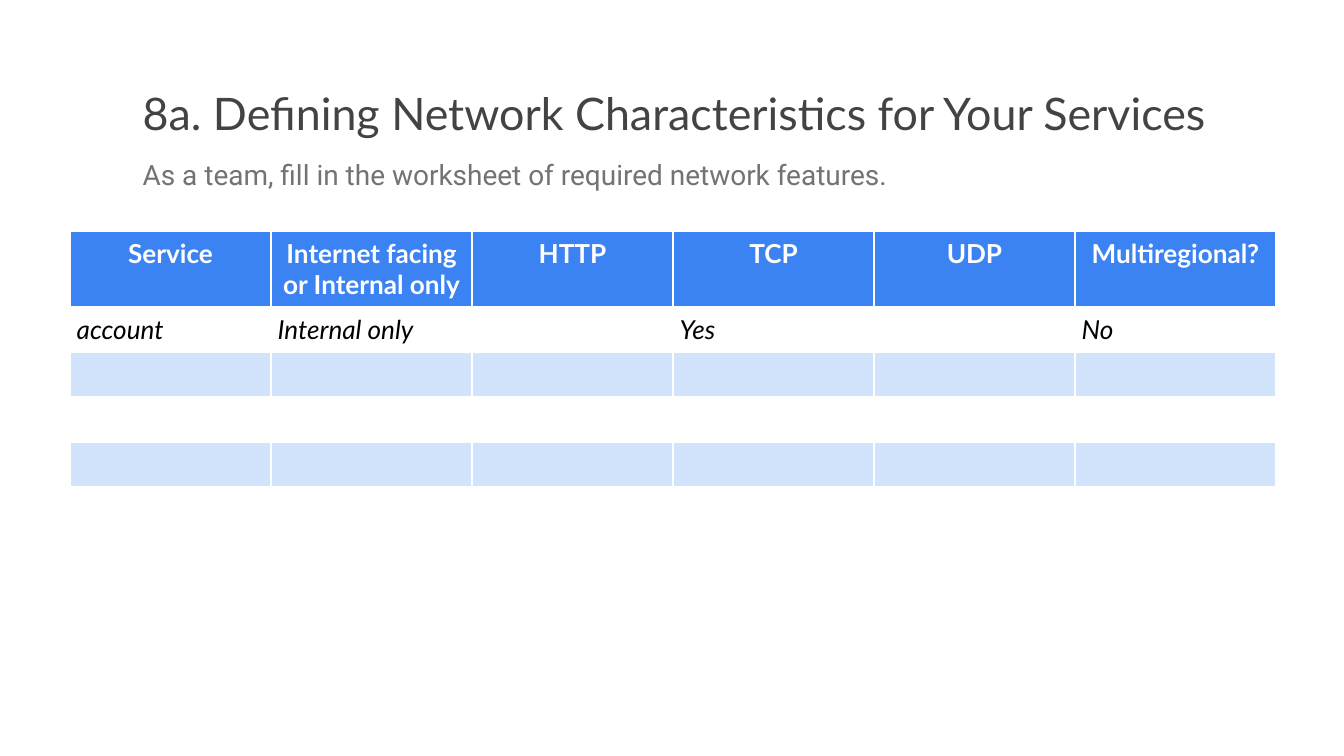
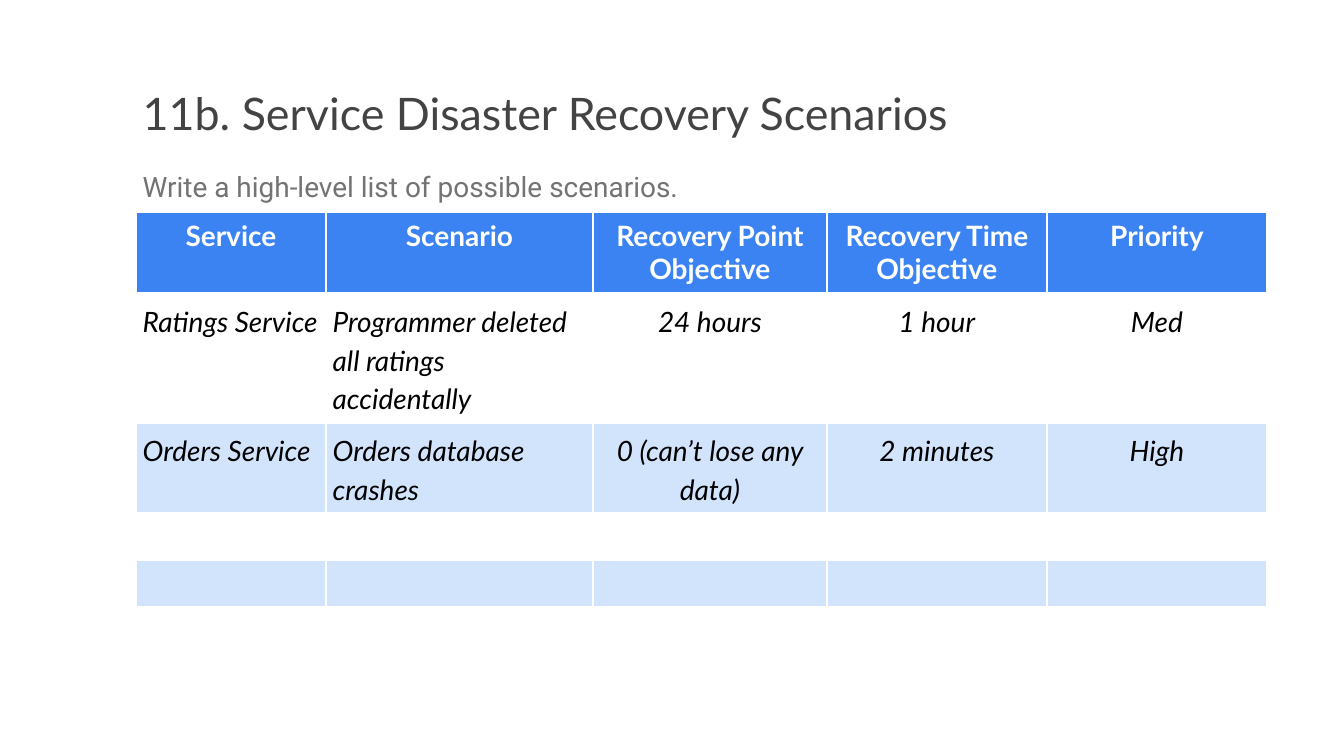
"""Build two worksheet slides, each with a title, an instruction and a table."""
from dataclasses import dataclass

from lxml import etree
from pptx import Presentation
from pptx import util as u
from pptx.dml.color import RGBColor
from pptx.enum import text
from pptx.oxml import ns

PX_PER_INCH = 67.2
COLORS = {
    "title": "434343",
    "instruction": "737373",
    "header": "3B83F3",
    "band": "D2E3FC",
    "white": "FFFFFF",
    "entry": "000000",
}
HEADING_FONT = "Lato"
INSTRUCTION_FONT = "Roboto"
INSET = u.Inches(0.1)
BORDER = u.Pt(3)
LEFT = 136


@dataclass(frozen=True)
class Box:
    left: int
    top: int
    width: int
    height: int


@dataclass(frozen=True)
class Worksheet:
    title: str
    title_width: int
    instruction: str
    instruction_box: Box
    table_left: int
    table_top: int
    columns: list[int]
    row_heights: list[int]
    font_size: int
    entry_spacing: float
    first_centered_column: int
    header: list[str]
    entries: list[list[str]]


WORKSHEETS = [
    Worksheet(
        title="8a. Defining Network Characteristics for Your Services",
        title_width=1191,
        instruction="As a team, fill in the worksheet of required network features.",
        instruction_box=Box(LEFT, 146, 918, 37),
        table_left=70,
        table_top=231,
        columns=[201] * 6,
        row_heights=[76] + [45] * 5,
        font_size=28,
        entry_spacing=1.0,
        first_centered_column=6,
        header=["Service", "Internet facing or Internal only", "HTTP", "TCP", "UDP",
                "Multiregional?"],
        entries=[["account", "Internal only", "", "Yes", "", "No"]],
    ),
    Worksheet(
        title="11b. Service Disaster Recovery Scenarios",
        title_width=1074,
        instruction="Write a high-level list of possible scenarios.",
        instruction_box=Box(LEFT, 158, 988, 54),
        table_left=LEFT,
        table_top=212,
        columns=[190, 267, 234, 220, 220],
        row_heights=[81, 129, 90] + [47] * 3,
        font_size=30,
        entry_spacing=1.15,
        first_centered_column=2,
        header=["Service", "Scenario", "Recovery Point Objective",
                "Recovery Time Objective", "Priority"],
        entries=[
            ["Ratings Service", "Programmer deleted all ratings accidentally",
             "24 hours", "1 hour", "Med"],
            ["Orders Service", "Orders database crashes",
             "0 (can’t lose any data)", "2 minutes", "High"],
        ],
    ),
]


def px(length: int) -> u.Emu:
    """Convert pixels to EMU."""
    return u.Emu(round(length * 914400 / PX_PER_INCH))


def color(name: str) -> RGBColor:
    """Look up a palette colour."""
    return RGBColor.from_string(COLORS[name])


def set_font(paragraph, face: str, size: int, shade: str,
             bold: bool = False, italic: bool = False) -> None:
    """Format all the text of a paragraph."""
    font = paragraph.font
    font.name, font.size = face, u.Pt(size)
    font.bold, font.italic = bold, italic
    font.color.rgb = color(shade)


def set_insets(target) -> None:
    """Give a text frame or a cell equal margins."""
    target.margin_left = target.margin_right = INSET
    target.margin_top = target.margin_bottom = INSET


def fill_frame(frame, wording: str):
    """Write top-left text in a frame and return its paragraph."""
    set_insets(frame)
    frame.word_wrap = True
    frame.auto_size = text.MSO_AUTO_SIZE.NONE
    frame.vertical_anchor = text.MSO_ANCHOR.TOP
    frame.text = wording
    paragraph = frame.paragraphs[0]
    paragraph.alignment = text.PP_ALIGN.LEFT
    return paragraph


def add_heading(slide, sheet: Worksheet) -> None:
    """Place the title and the instruction under it."""
    title = slide.shapes.title
    title.left, title.top = px(LEFT), px(79)
    title.width, title.height = px(sheet.title_width), px(79)
    set_font(fill_frame(title.text_frame, sheet.title), HEADING_FONT, 48, "title")

    box = sheet.instruction_box
    instruction = slide.shapes.add_textbox(
        px(box.left), px(box.top), px(box.width), px(box.height))
    paragraph = fill_frame(instruction.text_frame, sheet.instruction)
    paragraph.line_spacing = 1.15
    paragraph.space_after = u.Pt(16)
    set_font(paragraph, INSTRUCTION_FONT, 30, "instruction")


def add_borders(cell) -> None:
    """Draw white lines on all four sides of a cell."""
    properties = cell._tc.get_or_add_tcPr()
    for index, side in enumerate(("lnL", "lnR", "lnT", "lnB")):
        line = etree.Element(ns.qn(f"a:{side}"), w=str(int(BORDER)))
        fill = etree.SubElement(line, ns.qn("a:solidFill"))
        etree.SubElement(fill, ns.qn("a:srgbClr"), val=COLORS["white"])
        properties.insert(index, line)


def format_cell(cell, wording: str, sheet: Worksheet, row: int, column: int) -> None:
    """Write and format one cell according to its place in the table."""
    is_header = row == 0
    cell.text = wording
    set_insets(cell)
    cell.vertical_anchor = text.MSO_ANCHOR.TOP
    cell.fill.solid()
    cell.fill.fore_color.rgb = color(
        "header" if is_header else "white" if row % 2 else "band")
    add_borders(cell)
    paragraph = cell.text_frame.paragraphs[0]
    centered = is_header or column >= sheet.first_centered_column
    paragraph.alignment = text.PP_ALIGN.CENTER if centered else text.PP_ALIGN.LEFT
    paragraph.line_spacing = 1.0 if is_header else sheet.entry_spacing
    set_font(paragraph, HEADING_FONT, sheet.font_size,
             "white" if is_header else "entry", bold=is_header, italic=not is_header)


def add_worksheet_table(slide, sheet: Worksheet) -> None:
    """Add the table with its header, entries and empty rows."""
    table = slide.shapes.add_table(
        len(sheet.row_heights), len(sheet.columns),
        px(sheet.table_left), px(sheet.table_top),
        px(sum(sheet.columns)), px(sum(sheet.row_heights))).table
    table.horz_banding = False
    for column, width in zip(table.columns, sheet.columns):
        column.width = px(width)
    filled_rows = [sheet.header, *sheet.entries]
    empty_row = [""] * len(sheet.columns)
    for row, height in enumerate(sheet.row_heights):
        table.rows[row].height = px(height)
        wordings = filled_rows[row] if row < len(filled_rows) else empty_row
        for column, wording in enumerate(wordings):
            format_cell(table.cell(row, column), wording, sheet, row, column)


def main() -> None:
    """Build and save the presentation."""
    deck = Presentation()
    deck.slide_width, deck.slide_height = px(1344), px(756)
    title_only = deck.slide_layouts[5]
    for sheet in WORKSHEETS:
        slide = deck.slides.add_slide(title_only)
        add_heading(slide, sheet)
        add_worksheet_table(slide, sheet)
    deck.save("out.pptx")


if __name__ == "__main__":
    main()
